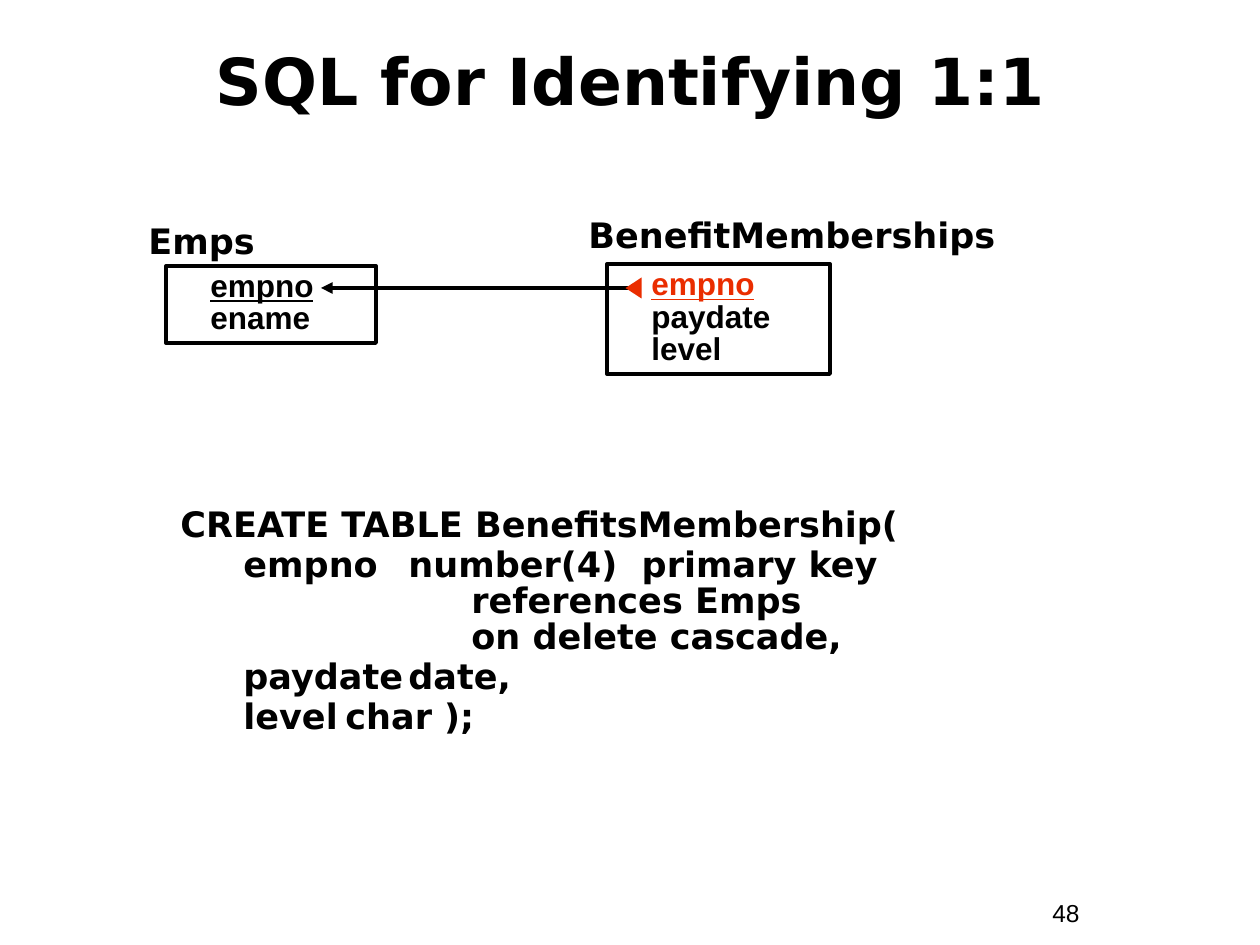
from pptx import Presentation
from pptx.dml.color import RGBColor as RGB
from pptx.enum.shapes import MSO_CONNECTOR as CONN, MSO_SHAPE as SHAPE
from pptx.enum.text import MSO_ANCHOR as ANCHOR, MSO_AUTO_SIZE as AUTO, PP_ALIGN as ALIGN
from pptx.oxml.ns import qn
from pptx.util import Pt
from lxml.etree import SubElement

PX = 914400 // 126
COLORS = {"ink": "000000", "key": "EA2D00"}
SANS, ARIAL = "DejaVu Sans", "Arial"


def color(name):
    return RGB.from_string(COLORS[name])


class Deck:
    def __init__(self, prs):
        self.prs = prs
        self.s = prs.slides.add_slide(prs.slide_layouts[5])

    def place(self, sp, x, y, w, h):
        sp.left, sp.top, sp.width, sp.height = (v * PX for v in (x, y, w, h))

    def font(self, p, size, name, ink="ink", bold=True, underline=None):
        f = p.font
        f.size, f.name, f.bold, f.underline = Pt(size), name, bold, underline
        f.color.rgb = color(ink)

    def indent(self, p, left, first=0):
        pPr = p._p.get_or_add_pPr()
        pPr.set("marL", str(left * PX))
        pPr.set("indent", str(first * PX))

    def tabs(self, p, step, count):
        tabs = SubElement(p._p.get_or_add_pPr(), qn("a:tabLst"))
        for i in range(count):
            SubElement(tabs, qn("a:tab"), pos=str(i * step * PX), algn="l")

    def title(self, text, x, y, w, h):
        sp = self.s.shapes.title
        self.place(sp, x, y, w, h)
        tf = sp.text_frame
        tf.text = text
        tf.auto_size, tf.vertical_anchor = AUTO.NONE, ANCHOR.MIDDLE
        p = tf.paragraphs[0]
        p.alignment, p.line_spacing = ALIGN.CENTER, 0.8
        self.font(p, 37, SANS)

    def box(self, x, y, w, h):
        tf = self.s.shapes.add_textbox(*(v * PX for v in (x, y, w, h))).text_frame
        tf.word_wrap = True
        return tf

    def label(self, text, x, y, w, h, size=20, name=SANS, bold=True, spacing=1.0):
        p = self.box(x, y, w, h).paragraphs[0]
        p.text, p.line_spacing = text, spacing
        self.font(p, size, name, bold=bold)

    def code(self, lines, x, y, w, h):
        tf = self.box(x, y, w, h)
        tf.text = "\n".join(lines)
        for i, p in enumerate(tf.paragraphs):
            p.line_spacing = 0.85
            if i:
                p.level, p.space_before = 1, Pt(2.5)
                self.indent(p, 102, -39)
            else:
                self.indent(p, 48, -48)
            self.tabs(p, 126, 8)
            self.font(p, 20, SANS)

    def entity(self, fields, key_color, x, y, w, h):
        sp = self.s.shapes.add_shape(SHAPE.RECTANGLE, *(v * PX for v in (x, y, w, h)))
        sp.shadow.inherit = False
        sp.fill.background()
        sp.line.color.rgb, sp.line.width = color("ink"), Pt(2.25)
        tf = sp.text_frame
        tf.word_wrap, tf.vertical_anchor = True, ANCHOR.TOP
        tf.text = "\n".join(fields)
        for i, p in enumerate(tf.paragraphs):
            p.alignment, p.line_spacing = ALIGN.LEFT, 0.85
            self.indent(p, 32)
            self.font(p, 18, ARIAL, "ink" if i else key_color, underline=i == 0)

    def arrow(self, x1, y1, x2, y2):
        c = self.s.shapes.add_connector(CONN.STRAIGHT, *(v * PX for v in (x1, y1, x2, y2)))
        c.line.color.rgb, c.line.width = color("ink"), Pt(2.25)
        SubElement(c.line._get_or_add_ln(), qn("a:tailEnd"), type="triangle")
        SubElement(c._element.spPr, qn("a:effectLst"))

    def marker(self, x, y, w, h):
        sp = self.s.shapes.add_shape(SHAPE.ISOSCELES_TRIANGLE, *(v * PX for v in (x, y, w, h)))
        sp.rotation = 270
        sp.shadow.inherit = False
        sp.fill.solid()
        sp.fill.fore_color.rgb = color("key")
        sp.line.fill.background()


def main():
    prs = Presentation()
    prs.slide_width, prs.slide_height = 1260 * PX, 945 * PX
    d = Deck(prs)
    d.label("48", 1040, 892, 116, 43, 14, ARIAL, False)
    d.title("SQL for Identifying 1:1", 42, 45, 1176, 84)
    d.code([
        "CREATE TABLE BenefitsMembership(",
        "empno\tnumber(4)  primary key\v\t\t\treferences Emps\v\t\t\ton delete cascade,",
        "paydate\tdate,",
        "level\tchar );",
    ], 168, 503, 903, 281)
    d.label("Emps", 136, 213, 271, 55)
    d.entity(["empno", "ename"], "ink", 166, 266, 210, 77)
    d.label("BenefitMemberships", 576, 214, 611, 49, spacing=0.85)
    d.entity(["empno", "paydate", "level"], "key", 607, 264, 223, 110)
    d.arrow(641, 288, 321, 288)
    d.marker(623, 280, 21, 16)
    prs.save("out.pptx")


if __name__ == "__main__":
    main()
